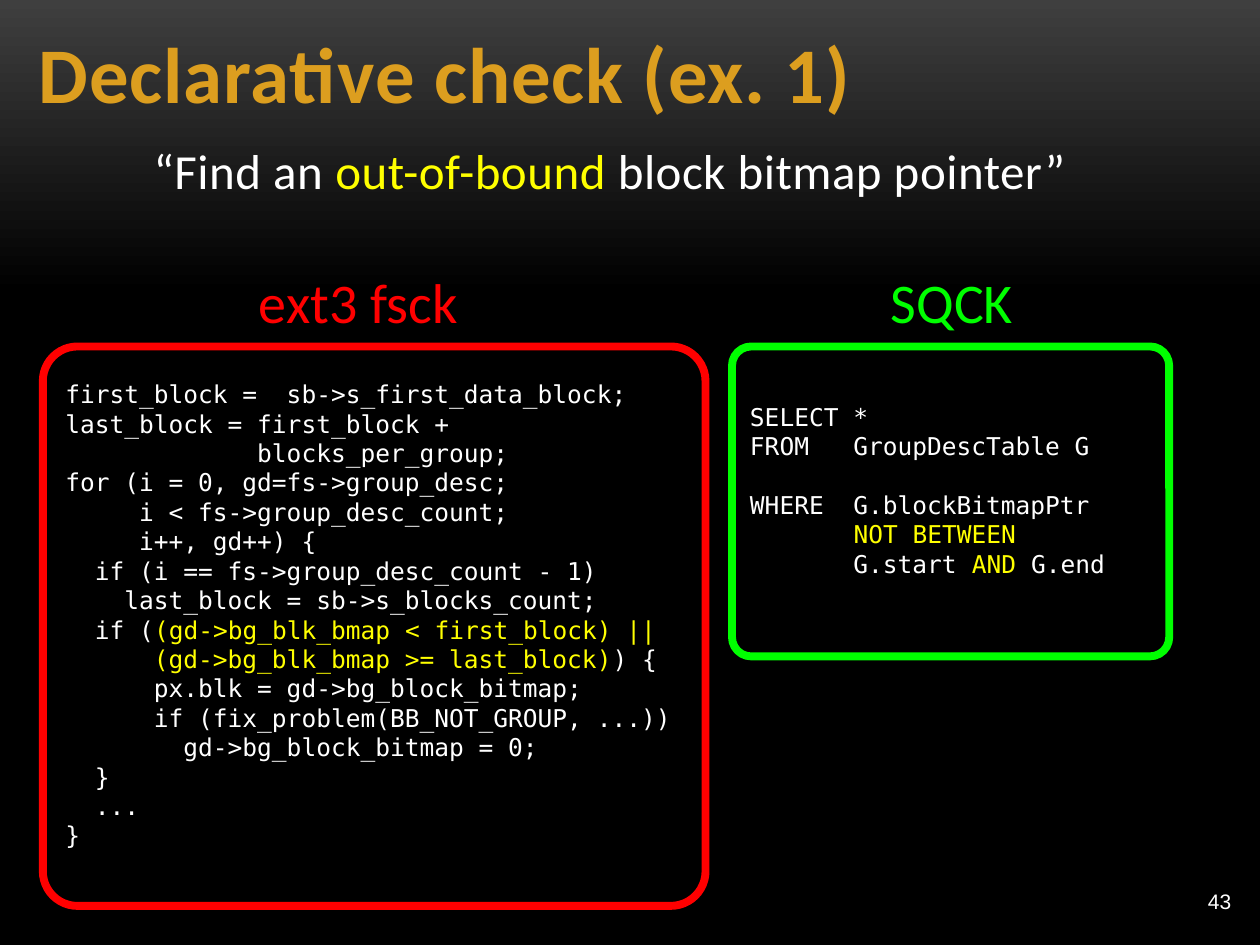
from pptx import Presentation
from pptx.dml.color import RGBColor
from pptx.enum.shapes import MSO_SHAPE as Shape
from pptx.enum.text import MSO_ANCHOR as Anchor, PP_ALIGN as Align
from pptx.util import Inches, Pt

WHITE = RGBColor(0xFF, 0xFF, 0xFF)
YELLOW = RGBColor(0xFF, 0xFF, 0x00)
GOLD = RGBColor(0xDC, 0x9E, 0x1F)
RED = RGBColor(0xFF, 0x00, 0x00)
GREEN = RGBColor(0x00, 0xFF, 0x00)
GRAY = RGBColor(0x3F, 0x3F, 0x3F)
BLACK = RGBColor(0x00, 0x00, 0x00)

TITLE = "Declarative check (ex. 1)"
TASK = [("“Find an ", WHITE), ("out-of-bound", YELLOW), (" block bitmap pointer”", WHITE)]
PAGE_NUMBER = "43"

FSCK_CODE = [
    "first_block =  sb->s_first_data_block;",
    "last_block = first_block +",
    "             blocks_per_group;",
    "for (i = 0, gd=fs->group_desc;",
    "     i < fs->group_desc_count;",
    "     i++, gd++) {",
    "  if (i == fs->group_desc_count - 1)",
    "    last_block = sb->s_blocks_count;",
    [("  if (", WHITE), ("(gd->bg_blk_bmap < first_block) ||", YELLOW)],
    [("      (gd->bg_blk_bmap >= last_block)", YELLOW), (") {", WHITE)],
    "      px.blk = gd->bg_block_bitmap;",
    "      if (fix_problem(BB_NOT_GROUP, ...))",
    "        gd->bg_block_bitmap = 0;",
    "  }",
    "  ...",
    "}",
]
SQL_CODE = [
    "SELECT *",
    "FROM   GroupDescTable G",
    "WHERE  G.blockBitmapPtr",
    [("       ", WHITE), ("NOT BETWEEN", YELLOW)],
    [("       G.start ", WHITE), ("AND", YELLOW), (" G.end", WHITE)],
]
PANELS = [
    {"heading": "ext3 fsck", "heading_left": 1.58, "heading_width": 2.53, "color": RED,
     "left": 0.34, "width": 5.26, "height": 4.44, "code": FSCK_CODE, "gap_before": None},
    {"heading": "SQCK", "heading_left": 6.06, "heading_width": 2.99, "color": GREEN,
     "left": 5.81, "width": 3.47, "height": 2.46, "code": SQL_CODE, "gap_before": 2},
]
HEADING_TOP, HEADING_HEIGHT, PANEL_TOP = 2.07, 0.59, 2.75
CODE_SIZE = 14
LINE_PITCH = CODE_SIZE * 1.2


def add_spans(para, spans, size, font="Calibri", bold=False, spacing=0):
    for text, color in spans:
        span = para.add_run()
        span.text = text
        span.font.size = Pt(size)
        span.font.name = font
        span.font.bold = bold
        span.font.color.rgb = color
        if spacing:
            span.font._element.set("spc", str(spacing))


def add_label(page, area, spans, size, align=Align.LEFT, anchor=Anchor.TOP, **style):
    box = page.shapes.add_textbox(*map(Inches, area))
    frame = box.text_frame
    frame.word_wrap = True
    frame.vertical_anchor = anchor
    para = frame.paragraphs[0]
    para.alignment = align
    add_spans(para, spans, size, **style)
    return para


def add_panel(page, panel):
    area = panel["left"], PANEL_TOP, panel["width"], panel["height"]
    box = page.shapes.add_shape(Shape.ROUNDED_RECTANGLE, *map(Inches, area))
    box.adjustments[0] = 0.062
    box.shadow.inherit = False
    box.fill.background()
    box.line.color.rgb = panel["color"]
    box.line.width = Pt(4.5)
    frame = box.text_frame
    frame.word_wrap = True
    frame.vertical_anchor = Anchor.MIDDLE
    frame.margin_bottom = Pt(LINE_PITCH)
    for index, line in enumerate(panel["code"]):
        para = frame.add_paragraph() if index else frame.paragraphs[0]
        para.alignment = Align.LEFT
        if index == panel["gap_before"]:
            para.space_before = Pt(LINE_PITCH)
        spans = [(line, WHITE)] if isinstance(line, str) else line
        add_spans(para, spans, CODE_SIZE, "DejaVu Sans Mono")


def main():
    deck = Presentation()
    deck.slide_width, deck.slide_height = Inches(10), Inches(7.5)
    page = deck.slides.add_slide(deck.slide_layouts[6])

    backdrop = page.background.fill
    backdrop.gradient()
    backdrop.gradient_angle = 270
    for stop, color, position in zip(backdrop.gradient_stops, (GRAY, BLACK), (0, 0.31)):
        stop.color.rgb = color
        stop.position = position

    add_label(page, (0.21, 0.04, 8.67, 0.96), [(TITLE, GOLD)], 45,
              anchor=Anchor.BOTTOM, bold=True, spacing=50)
    task = add_label(page, (1.12, 1.16, 7.49, 0.86), TASK, 28, spacing=30)
    task.line_spacing = 0.8
    task.space_before = Pt(15)
    add_label(page, (8.79, 6.95, 1.08, 0.4), [(PAGE_NUMBER, WHITE)], 12,
              Align.RIGHT, Anchor.MIDDLE, font="Arial")

    for panel in PANELS:
        area = panel["heading_left"], HEADING_TOP, panel["heading_width"], HEADING_HEIGHT
        add_label(page, area, [(panel["heading"], panel["color"])], 32, Align.CENTER)
        add_panel(page, panel)

    deck.save("out.pptx")


if __name__ == "__main__":
    main()
